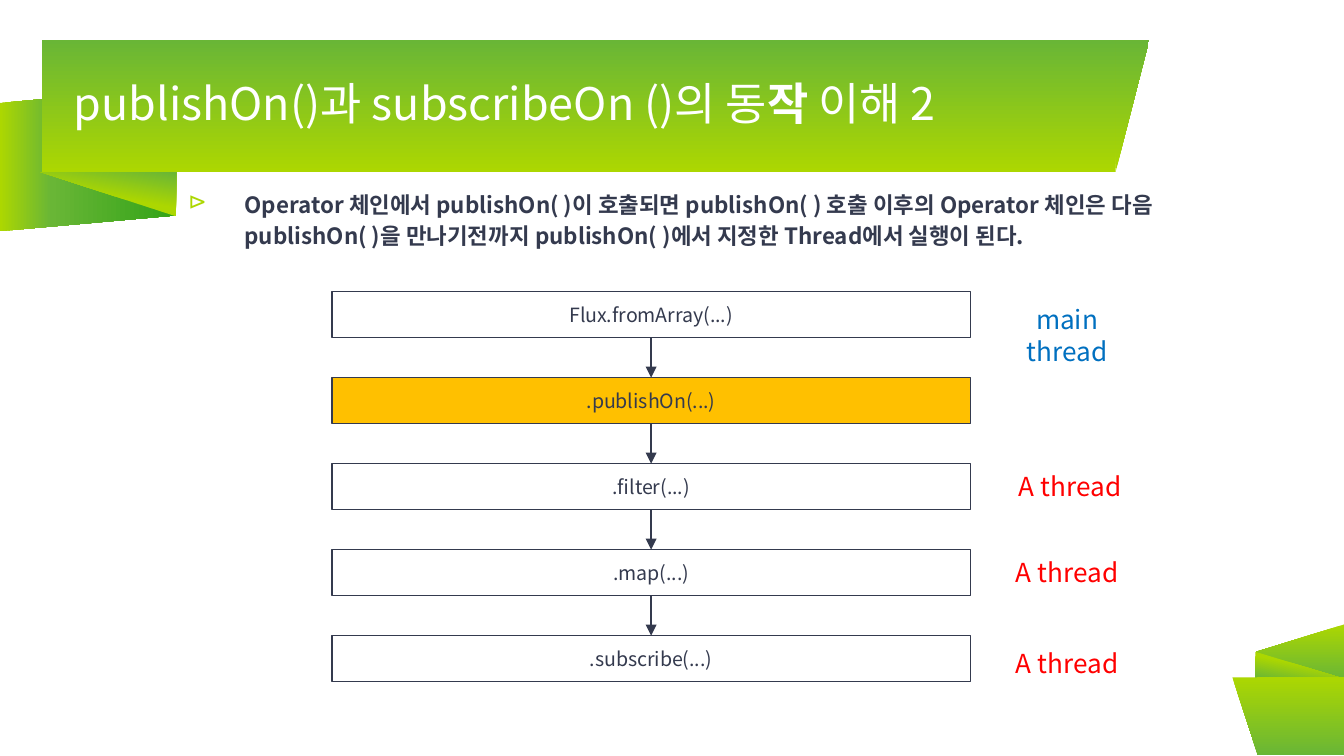
from copy import deepcopy

from pptx import Presentation
from pptx.dml.color import RGBColor
from pptx.enum.shapes import MSO_CONNECTOR, MSO_SHAPE as Preset
from pptx.enum.text import MSO_ANCHOR as Anchor, MSO_AUTO_SIZE as AutoSize, PP_ALIGN as Align
from pptx.oxml.ns import qn
from pptx.util import Inches, Pt
from lxml.etree import SubElement

LIME = RGBColor(0xAC, 0xD7, 0x01)
GREEN = RGBColor(0x69, 0xB6, 0x36)
DEEP_GREEN = RGBColor(0x32, 0xA3, 0x18)
INK = RGBColor(0x34, 0x3A, 0x4E)
AMBER = RGBColor(0xFF, 0xC0, 0x00)
BLUE = RGBColor(0x00, 0x70, 0xC0)
RED = RGBColor(0xFF, 0x00, 0x00)
WHITE = RGBColor(0xFF, 0xFF, 0xFF)
FONT = "Noto Sans CJK KR"

# Grid of the operator chain, in inches
BOX_LEFT, BOX_WIDTH, BOX_HEIGHT = 2.47, 4.75, 0.34
FIRST_ROW, ROW_STEP = 2.17, 0.64
CENTRE = BOX_LEFT + BOX_WIDTH / 2
LABEL_CENTRE = 7.94

# Widescreen slide, 16 to 9
presentation = Presentation()
presentation.slide_width = Inches(10)
presentation.slide_height = presentation.slide_width * 9 // 16
slide = presentation.slides.add_slide(presentation.slide_layouts[6])
shapes = slide.shapes


def add_run(paragraph, text, size, color, bold=False):
    run = paragraph.add_run()
    run.text = text
    run.font.color.rgb = color
    for name, value in {"name": FONT, "size": Pt(size), "bold": bold}.items():
        setattr(run.font, name, value)
    SubElement(run.font._element, qn("a:ea")).set("typeface", FONT)


def add_text_box(left, top, width, height, margin=0, **frame_format):
    frame = shapes.add_textbox(*map(Inches, (left, top, width, height))).text_frame
    margins = {f"margin_{side}": Inches(margin) for side in ("left", "right", "top", "bottom")}
    for name, value in {"word_wrap": True, **margins, **frame_format}.items():
        setattr(frame, name, value)
    return frame


# Ribbons: preset, frame, rotation, flipped, adjustment, gradient stops, angle
BAND = [(0, LIME), (1, GREEN)]
FOLD = [(0, LIME), (0.47, LIME), (1, GREEN)]
TAIL = [(0, LIME), (0.29, GREEN), (1, DEEP_GREEN)]
ribbons = [
    (Preset.PARALLELOGRAM, (0.12, 0.53, 1.07, 1.31), 270, True, 0.109, TAIL, 90),
    (Preset.RIGHT_TRIANGLE, (0.3, 1.28, 1.01, 0.33), 180, False, None, FOLD, 100),
    (Preset.RECTANGLE, (0.31, 0.3, 7.99, 0.98), 180, True, None, BAND, 90),
    (Preset.ISOSCELES_TRIANGLE, (8.3, 0.3, 0.25, 0.98), 180, False, 1, BAND, 90),
    (Preset.ISOSCELES_TRIANGLE, (9.47, 4.52, 0.41, 0.66), 270, False, 0.5, BAND, 180),
    (Preset.RIGHT_TRIANGLE, (9.34, 4.85, 0.66, 0.2), 0, False, None, FOLD, 100),
    (Preset.RECTANGLE, (9.35, 5.04, 0.65, 0.58), 180, False, None, BAND, 270),
    (Preset.ISOSCELES_TRIANGLE, (9.17, 5.04, 0.19, 0.58), 180, True, 1, BAND, 270),
]
for preset, frame, rotation, flipped, adjustment, stops, angle in ribbons:
    ribbon = shapes.add_shape(preset, *map(Inches, frame))
    ribbon.shadow.inherit = False
    ribbon.line.fill.background()
    ribbon.rotation = rotation
    if flipped:
        ribbon._element.spPr.find(qn("a:xfrm")).set("flipH", "1")
    if adjustment is not None:
        ribbon.adjustments[0] = adjustment
    ribbon.fill.gradient()
    ribbon.fill.gradient_angle = 360 - angle
    stop_list = ribbon._element.spPr.find(".//" + qn("a:gsLst"))
    while len(stop_list) < len(stops):
        stop_list.append(deepcopy(stop_list[0]))
    for stop, (position, color) in zip(ribbon.fill.gradient_stops, stops):
        stop.position = position
        stop.color.rgb = color

# Explanation with its bullet
paragraph = add_text_box(1.32, 1.39, 8.16, 0.59).paragraphs[0]
paragraph.line_spacing = 1.15
paragraph.space_before = Pt(6)
properties = paragraph._p.get_or_add_pPr()
properties.set("marL", str(Inches(0.5)))
properties.set("indent", str(Inches(-0.42)))
bullet_color = SubElement(properties, qn("a:buClr"))
SubElement(bullet_color, qn("a:srgbClr")).set("val", str(LIME))
SubElement(properties, qn("a:buChar")).set("char", "⊳")
add_run(paragraph, "Operator 체인에서 publishOn( )이 호출되면 publishOn( ) 호출 이후의 "
        "Operator 체인은 다음 publishOn( )을 만나기전까지 publishOn( )에서 지정한 "
        "Thread에서 실행이 된다.", 12, INK, True)

# Thread labels
labels = [
    ("main thread", 2.21, 1.29, BLUE, True),
    (" A thread", 3.45, 1.01, RED, False),
    ("A thread", 4.09, 0.97, RED, False),
    ("A thread", 4.77, 0.97, RED, False),
]
for text, top, width, color, wrap in labels:
    frame = add_text_box(LABEL_CENTRE - width / 2, top, width, 0.34, margin=0.1,
                         margin_top=Inches(0.05), margin_bottom=Inches(0.05),
                         word_wrap=wrap, auto_size=AutoSize.SHAPE_TO_FIT_TEXT)
    frame.paragraphs[0].alignment = Align.CENTER
    add_run(frame.paragraphs[0], text, 14, color)

# Operator chain: one box a row, with an arrow from the row above
operators = ["Flux.fromArray(...)", ".publishOn(...)", ".filter(...)", ".map(...)", ".subscribe(...)"]
for row, operator in enumerate(operators):
    top = FIRST_ROW + row * ROW_STEP
    box = shapes.add_shape(Preset.RECTANGLE, *map(Inches, (BOX_LEFT, top, BOX_WIDTH, BOX_HEIGHT)))
    box.shadow.inherit = False
    if operator == ".publishOn(...)":
        box.fill.solid()
        box.fill.fore_color.rgb = AMBER
    else:
        box.fill.background()
    box.line.color.rgb = INK
    box.line.width = Pt(0.75)
    box.text_frame.vertical_anchor = Anchor.MIDDLE
    box.text_frame.paragraphs[0].alignment = Align.CENTER
    add_run(box.text_frame.paragraphs[0], operator, 10.5, INK)
    if row:
        ends = (CENTRE, top - ROW_STEP + BOX_HEIGHT, CENTRE, top)
        arrow = shapes.add_connector(MSO_CONNECTOR.STRAIGHT, *map(Inches, ends))
        arrow.line.color.rgb = INK
        arrow.line.width = Pt(0.75)
        SubElement(arrow.line._get_or_add_ln(), qn("a:tailEnd")).set("type", "triangle")
        SubElement(arrow._element.spPr, qn("a:effectLst"))

# Title
title = add_text_box(0.55, 0.3, 7.9, 0.98, vertical_anchor=Anchor.MIDDLE).paragraphs[0]
title.line_spacing = 0.9
for text, bold in [("publishOn()과 subscribeOn ()의 동", False), ("작", True), (" 이해 2", False)]:
    add_run(title, text, 24, WHITE, bold)

presentation.save("out.pptx")
